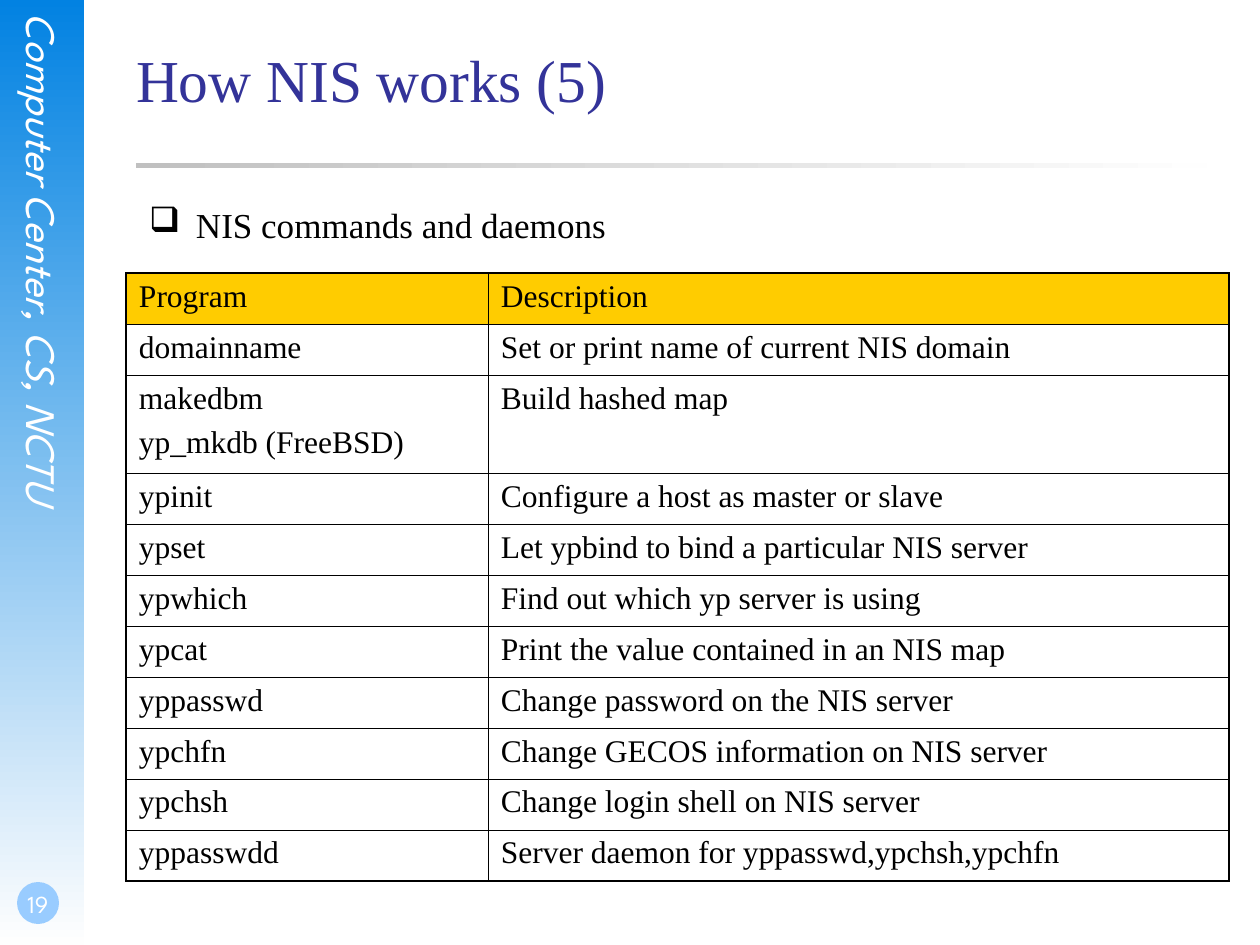
from lxml import etree
from pptx import Presentation
from pptx.dml.color import RGBColor
from pptx.enum.shapes import MSO_SHAPE
from pptx.enum.text import MSO_ANCHOR, MSO_AUTO_SIZE, PP_ALIGN
from pptx.oxml.ns import qn
from pptx.util import Emu, Pt

RECTANGLE, OVAL = MSO_SHAPE.RECTANGLE, MSO_SHAPE.OVAL
TOP, BOTTOM = MSO_ANCHOR.TOP, MSO_ANCHOR.BOTTOM
LEFT, CENTER = PP_ALIGN.LEFT, PP_ALIGN.CENTER
NO_AUTOFIT = MSO_AUTO_SIZE.NONE

SCALE = 914400 / 126
COLORS = {
    "black": "000000", "white": "FFFFFF", "title": "333399",
    "bar": "0282E2", "fade": "FEFEFE", "rule": "C0C0C0",
    "badge": "99CCFF", "header": "FFCC00",
}
SERIF, SANS = "Times New Roman", "League Spartan"
THICK, THIN = Pt(1.08), Pt(0.45)


def px(*lengths):
    return [Emu(round(length * SCALE)) for length in lengths]


def write(frame, text, font, size, color, align=LEFT, anchor=TOP, margins=(0, 0, 0, 0)):
    frame.word_wrap = True
    frame.auto_size = NO_AUTOFIT
    frame.vertical_anchor = anchor
    frame.margin_left, frame.margin_top, frame.margin_right, frame.margin_bottom = px(*margins)
    para = frame.paragraphs[0]
    para.text = text
    para.alignment = align
    para.font.name = font
    para.font.size = Pt(size)
    para.font.color.rgb = RGBColor.from_string(COLORS[color])
    return para


deck = Presentation()
deck.slide_width, deck.slide_height = px(1260, 945)
page = deck.slides.add_slide(deck.slide_layouts[5])
shapes = page.shapes

# Title
title = shapes.title
title.left, title.top, title.width, title.height = px(136, 35, 1071, 158)
write(title.text_frame, "How NIS works (5)", SERIF, 34, "title", margins=(0, 8, 0, 0))

# Side bar and the rule under the title
for area, angle, start, end in [
    ((0, 0, 84, 945), 270, "bar", "fade"),
    ((136, 163, 1071, 5), 0, "rule", "fade"),
]:
    band = shapes.add_shape(RECTANGLE, *px(*area))
    band.shadow.inherit = False
    band.line.fill.background()
    band.fill.gradient()
    band.fill.gradient_angle = angle
    for stop, color in zip(band.fill.gradient_stops, (start, end)):
        stop.color.rgb = RGBColor.from_string(COLORS[color])

# Vertical label on the side bar
label = shapes.add_textbox(*px(19, 13, 50, 644)).text_frame
write(label, "Computer Center, CS, NCTU", SANS, 24, "white", CENTER).font.italic = True
label._txBody.bodyPr.set("vert", "eaVert")

# Page number
badge = shapes.add_shape(OVAL, *px(17, 882, 42, 42))
badge.shadow.inherit = False
badge.line.fill.background()
badge.fill.solid()
badge.fill.fore_color.rgb = RGBColor.from_string(COLORS["badge"])
number = shapes.add_textbox(*px(0, 861, 73, 63)).text_frame
write(number, "19", SANS, 14, "white", CENTER, BOTTOM, (3, 0, 0, 6))

# Bullet above the table
body = shapes.add_textbox(*px(136, 199, 968, 640)).text_frame
para = write(body, "NIS commands and daemons", SERIF, 20, "black", margins=(0, 4, 0, 0))
properties = para._p.get_or_add_pPr()
indent, hanging = px(60, 47)
properties.set("marL", str(indent))
properties.set("indent", str(-hanging))
bullet = etree.Element(qn("a:buChar"), char="❑")
properties.insert(0, bullet)

# Table of commands
rows = [
    ("Program", "Description"),
    ("domainname", "Set or print name of current NIS domain"),
    ("makedbm\nyp_mkdb (FreeBSD)", "Build hashed map"),
    ("ypinit", "Configure a host as master or slave"),
    ("ypset", "Let ypbind to bind a particular NIS server"),
    ("ypwhich", "Find out which yp server is using"),
    ("ypcat", "Print the value contained in an NIS map"),
    ("yppasswd", "Change password on the NIS server"),
    ("ypchfn", "Change GECOS information on NIS server"),
    ("ypchsh", "Change login shell on NIS server"),
    ("yppasswdd", "Server daemon for yppasswd,ypchsh,ypchfn"),
]
table = shapes.add_table(len(rows), 2, *px(126, 273, 1103, 608)).table
table.first_row = table.horz_banding = False
for column, width in zip(table.columns, px(362, 741)):
    column.width = width

for r, texts in enumerate(rows):
    table.rows[r].height = px(98 if "\n" in texts[0] else 51)[0]
    for c, text in enumerate(texts):
        cell = table.cell(r, c)
        cell.margin_left, cell.margin_top, cell.margin_right, cell.margin_bottom = px(13, 6, 13, 6)
        cell.text = text
        for i, para in enumerate(cell.text_frame.paragraphs):
            para.space_before = Pt(5.6 if i else 0)
            para.font.name = SERIF
            para.font.size = Pt(18)
            para.font.color.rgb = RGBColor.from_string(COLORS["black"])

        # Thick lines outside, thin lines inside
        outer = {"lnL": c == 0, "lnR": c == 1, "lnT": r == 0, "lnB": r == len(rows) - 1}
        cell_properties = cell._tc.get_or_add_tcPr()
        for side, is_outer in outer.items():
            line = etree.SubElement(cell_properties, qn(f"a:{side}"), w=str(THICK if is_outer else THIN))
            fill = etree.SubElement(line, qn("a:solidFill"))
            etree.SubElement(fill, qn("a:srgbClr"), val=COLORS["black"])

        if r == 0:
            cell.fill.solid()
            cell.fill.fore_color.rgb = RGBColor.from_string(COLORS["header"])
        else:
            cell.fill.background()

deck.save("out.pptx")
